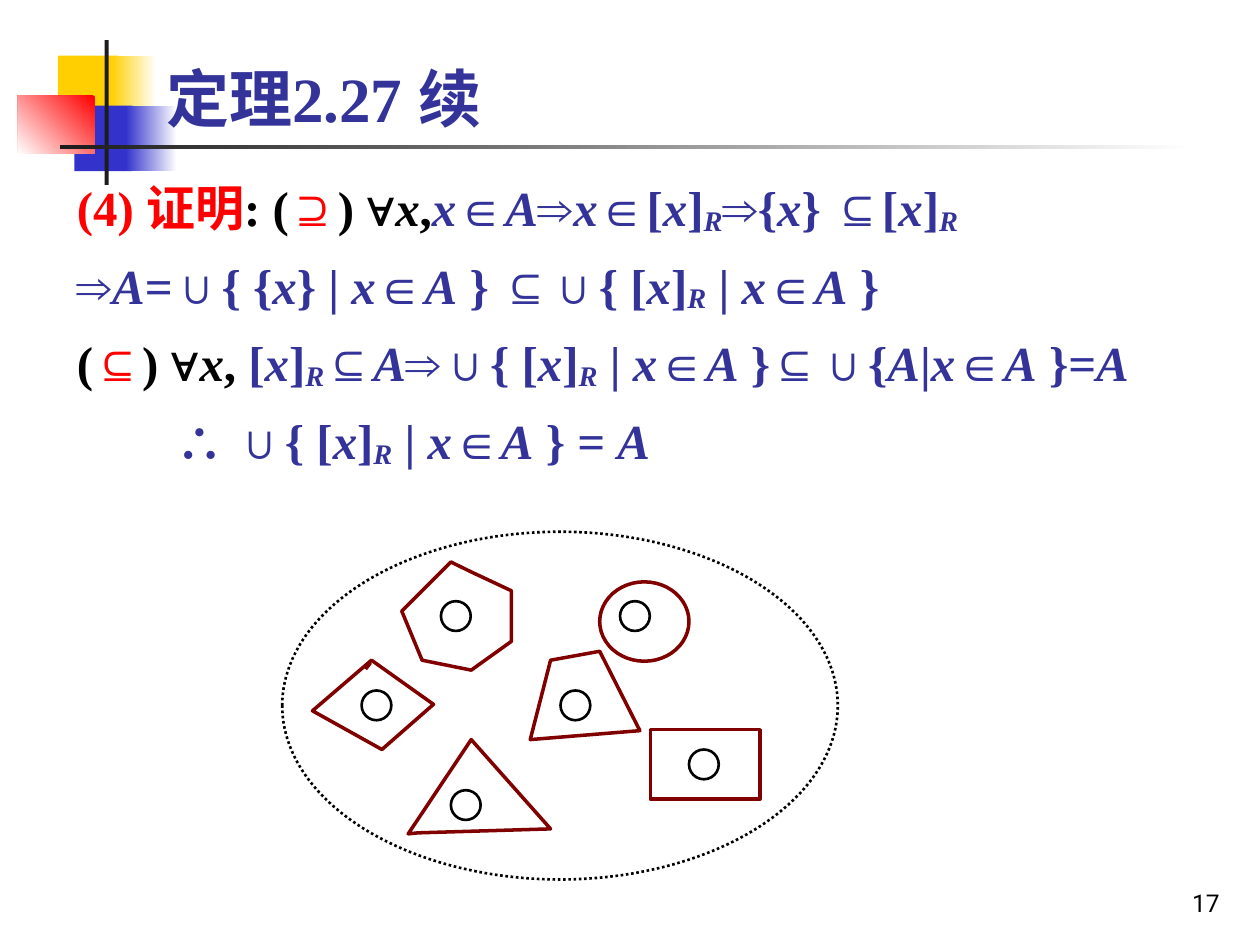
from dataclasses import dataclass
from itertools import groupby
from typing import Optional

from lxml import etree
from pptx import Presentation
from pptx import util as u
from pptx.dml.color import RGBColor
from pptx.enum import dml, shapes, text
from pptx.oxml.ns import qn


@dataclass(frozen=True)
class Theme:
    white: str = "FFFFFF"
    black: str = "000000"
    ink: str = "1C1C1C"
    yellow: str = "FFCF01"
    blue: str = "3333CC"
    red: str = "FF0000"
    navy: str = "333399"
    maroon: str = "800000"
    serif: str = "Times New Roman"
    symbol: str = "Arial"
    number: str = "Roboto"
    title_size: int = 36
    body_size: int = 28
    number_size: int = 14


THEME = Theme()


@dataclass(frozen=True)
class Box:
    left: float
    top: float
    width: float
    height: float

    def lengths(self) -> list:
        return [u.Cm(v) for v in (self.left, self.top, self.width, self.height)]


@dataclass(frozen=True)
class Bar:
    box: Box
    color: str
    end_color: Optional[str] = None
    angle: int = 180


@dataclass(frozen=True)
class Span:
    text: str
    color: str = THEME.navy
    font: str = THEME.serif


@dataclass(frozen=True)
class Line:
    spans: tuple
    indent: float = 0


# Corner ornament and title rule
BARS = [
    Bar(Box(1.17, 1.12, 1.22, 1.32), THEME.yellow),
    Bar(Box(2.24, 1.12, 0.91, 1.32), THEME.white, THEME.yellow),
    Bar(Box(1.5, 2.13, 1.17, 1.32), THEME.blue),
    Bar(Box(2.54, 2.13, 1.02, 1.32), THEME.white, THEME.blue),
    Bar(Box(0.36, 1.93, 1.55, 1.17), THEME.red, THEME.white, 225),
    Bar(Box(2.11, 0.81, 0.08, 2.92), THEME.ink),
    Bar(Box(1.22, 2.92, 22.86, 0.08), THEME.white, THEME.ink),
]

# Proof, line by line
PROOF = [
    Line((Span("(4) 证明", THEME.red), Span(": (", THEME.black),
          Span("⊇", THEME.red, THEME.symbol), Span(") ∀x,", THEME.black),
          Span("x∈A⇒x∈[x]R⇒{x} ⊆[x]R"))),
    Line((Span("⇒A=∪{ {x} | x∈A } ⊆∪{ [x]R | x∈A }"),)),
    Line((Span("(", THEME.black), Span("⊆", THEME.red), Span(") ∀x,", THEME.black),
          Span(" [x]R⊆A⇒∪{ [x]R | x∈A }⊆∪{A|x∈A }=A"))),
    Line((Span("∴ ∪{ [x]R | x∈A } = A"),), indent=1.98),
]

# Partition diagram: the set, its classes and one element in each
WHOLE_SET = Box(5.69, 10.72, 11.2, 7.01)
ELEMENT_SIZE = 0.6
ELEMENTS = [(12.5, 12.12), (8.89, 12.12), (7.29, 13.92),
            (11.3, 13.92), (13.89, 15.11), (9.09, 15.93)]
RECTANGLE_CLASS = Box(13.11, 14.71, 2.21, 1.4)
ROUND_CLASS = Box(12.09, 11.73, 1.8, 1.6)
POLYGON_CLASSES = [
    [(11.1, 13.31), (10.69, 14.91), (12.9, 14.73), (12.09, 13.13)],
    [(7.47, 13.36), (7.37, 13.49)],
    [(8.23, 16.81), (8.43, 16.79), (11.1, 16.71), (9.5, 14.91)],
    [(7.49, 13.31), (6.3, 14.33), (7.7, 15.11), (8.74, 14.2)],
    [(9.09, 11.33), (8.1, 12.32), (8.51, 13.31), (9.5, 13.51),
     (10.31, 12.93), (10.31, 11.91), (9.5, 11.53)],
]


def rgb(color: str) -> RGBColor:
    return RGBColor.from_string(color)


def apply(target, values: dict) -> None:
    for name, value in values.items():
        setattr(target, name, value)


def draw_bar(slide, bar: Bar) -> None:
    shape = slide.shapes.add_shape(shapes.MSO_SHAPE.RECTANGLE, *bar.box.lengths())
    shape.shadow.inherit = False
    shape.line.fill.background()
    if bar.end_color is None:
        shape.fill.solid()
        shape.fill.fore_color.rgb = rgb(bar.color)
        return
    shape.fill.gradient()
    shape.fill.gradient_angle = bar.angle
    for stop, color in zip(shape.fill.gradient_stops, (bar.color, bar.end_color)):
        stop.color.rgb = rgb(color)


def letter_kind(letter: str) -> str:
    """Variables are italic; the relation R is also a subscript."""
    if letter == "R":
        return "subscript"
    return "variable" if letter in "xA" else "plain"


def write_span(paragraph, span: Span, size: int, bold: bool) -> None:
    for kind, letters in groupby(span.text, key=letter_kind):
        run = paragraph.add_run()
        run.text = "".join(letters)
        apply(run.font, {"name": span.font, "size": u.Pt(size), "bold": bold,
                         "italic": kind != "plain"})
        run.font.color.rgb = rgb(span.color)
        if kind == "subscript":
            run.font._element.set("baseline", "-10000")


def add_text(slide, box: Box, lines: list, size: int, bold: bool = True,
             anchor=text.MSO_ANCHOR.BOTTOM, **paragraph_format) -> None:
    frame = slide.shapes.add_textbox(*box.lengths()).text_frame
    apply(frame, {"word_wrap": True, "vertical_anchor": anchor})
    for index, line in enumerate(lines):
        paragraph = frame.add_paragraph() if index else frame.paragraphs[0]
        apply(paragraph, paragraph_format)
        if index == 0:
            paragraph.space_before = u.Pt(0)
        if line.indent:
            paragraph._p.get_or_add_pPr().set("marL", str(u.Cm(line.indent)))
        for span in line.spans:
            write_span(paragraph, span, size, bold)


def outline(shape, color: str, width: float) -> None:
    shape.shadow.inherit = False
    shape.fill.background()
    shape.line.color.rgb = rgb(color)
    shape.line.width = u.Pt(width)


def add_outline(group, kind, box: Box, color: str, width: float):
    shape = group.shapes.add_shape(kind, *box.lengths())
    outline(shape, color, width)
    return shape


def add_polygon(group, points: list) -> None:
    start, *others = [(u.Cm(x), u.Cm(y)) for x, y in points]
    builder = group.shapes.build_freeform(*start)
    builder.add_line_segments(others, close=True)
    shape = builder.convert_to_shape()
    outline(shape, THEME.maroon, 2)
    etree.SubElement(shape.line._get_or_add_ln(), qn("a:round"))


def draw_partition(slide) -> None:
    group = slide.shapes.add_group_shape()
    oval, rectangle = shapes.MSO_SHAPE.OVAL, shapes.MSO_SHAPE.RECTANGLE
    whole = add_outline(group, oval, WHOLE_SET, THEME.black, 1.5)
    whole.line.dash_style = dml.MSO_LINE.ROUND_DOT
    for left, top in ELEMENTS:
        add_outline(group, oval, Box(left, top, ELEMENT_SIZE, ELEMENT_SIZE), THEME.black, 1.5)
    add_outline(group, rectangle, RECTANGLE_CLASS, THEME.maroon, 2)
    add_outline(group, oval, ROUND_CLASS, THEME.maroon, 2)
    for points in POLYGON_CLASSES:
        add_polygon(group, points)


def main() -> None:
    presentation = Presentation()
    apply(presentation, {"slide_width": u.Cm(25.4), "slide_height": u.Cm(19.05)})
    slide = presentation.slides.add_slide(presentation.slide_layouts[6])
    for bar in BARS:
        draw_bar(slide, bar)
    add_text(slide, Box(19.56, 17.35, 5.28, 1.27),
             [Line((Span("17", THEME.black, THEME.number),))],
             THEME.number_size, bold=False, alignment=text.PP_ALIGN.RIGHT)
    add_text(slide, Box(3.1, 0.71, 21.64, 2.13),
             [Line((Span("定理2.27 续"),))], THEME.title_size)
    add_text(slide, Box(1.3, 3.33, 23.19, 7.85), PROOF, THEME.body_size,
             anchor=text.MSO_ANCHOR.TOP, line_spacing=1.1, space_before=u.Pt(7))
    draw_partition(slide)
    presentation.save("out.pptx")


if __name__ == "__main__":
    main()
